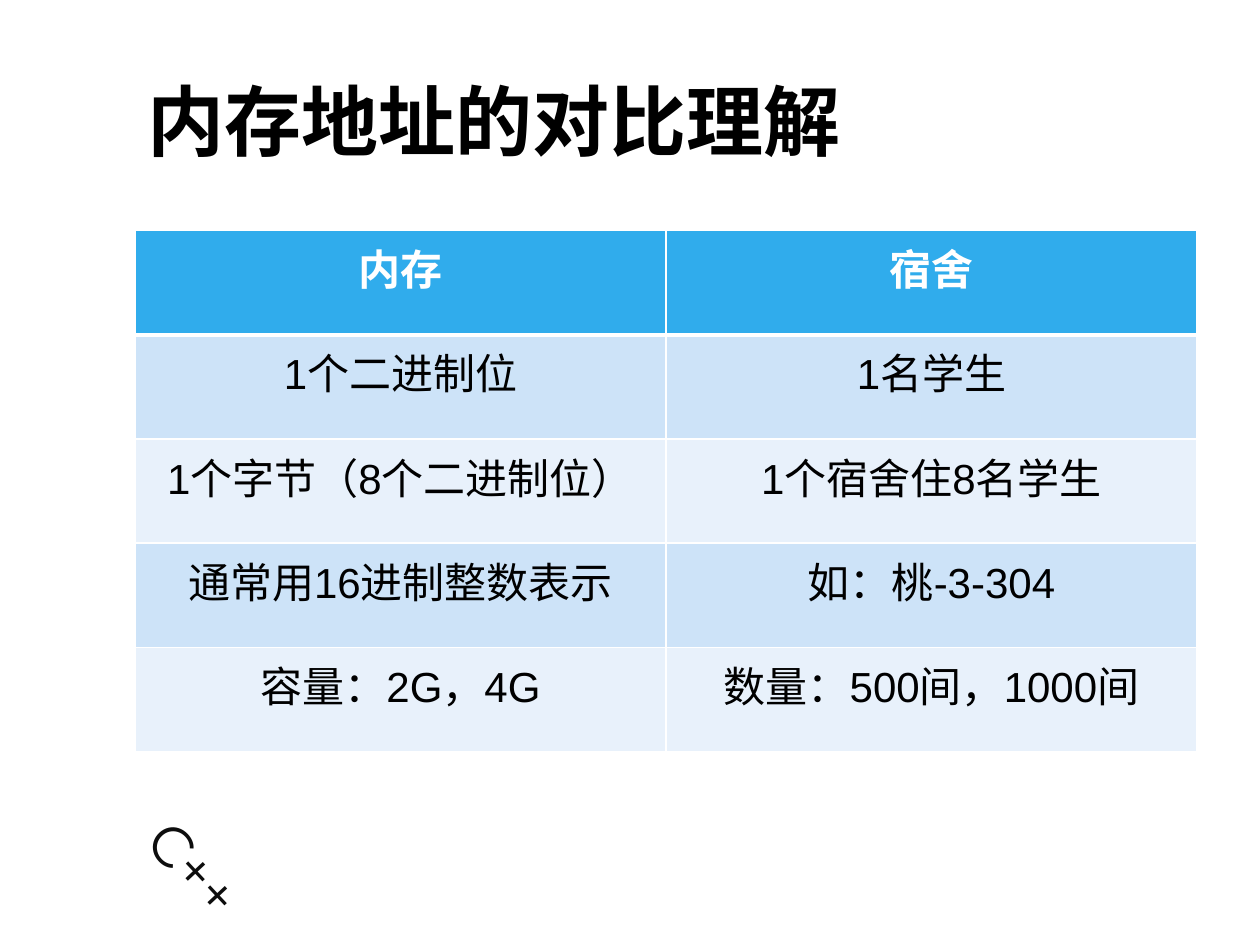
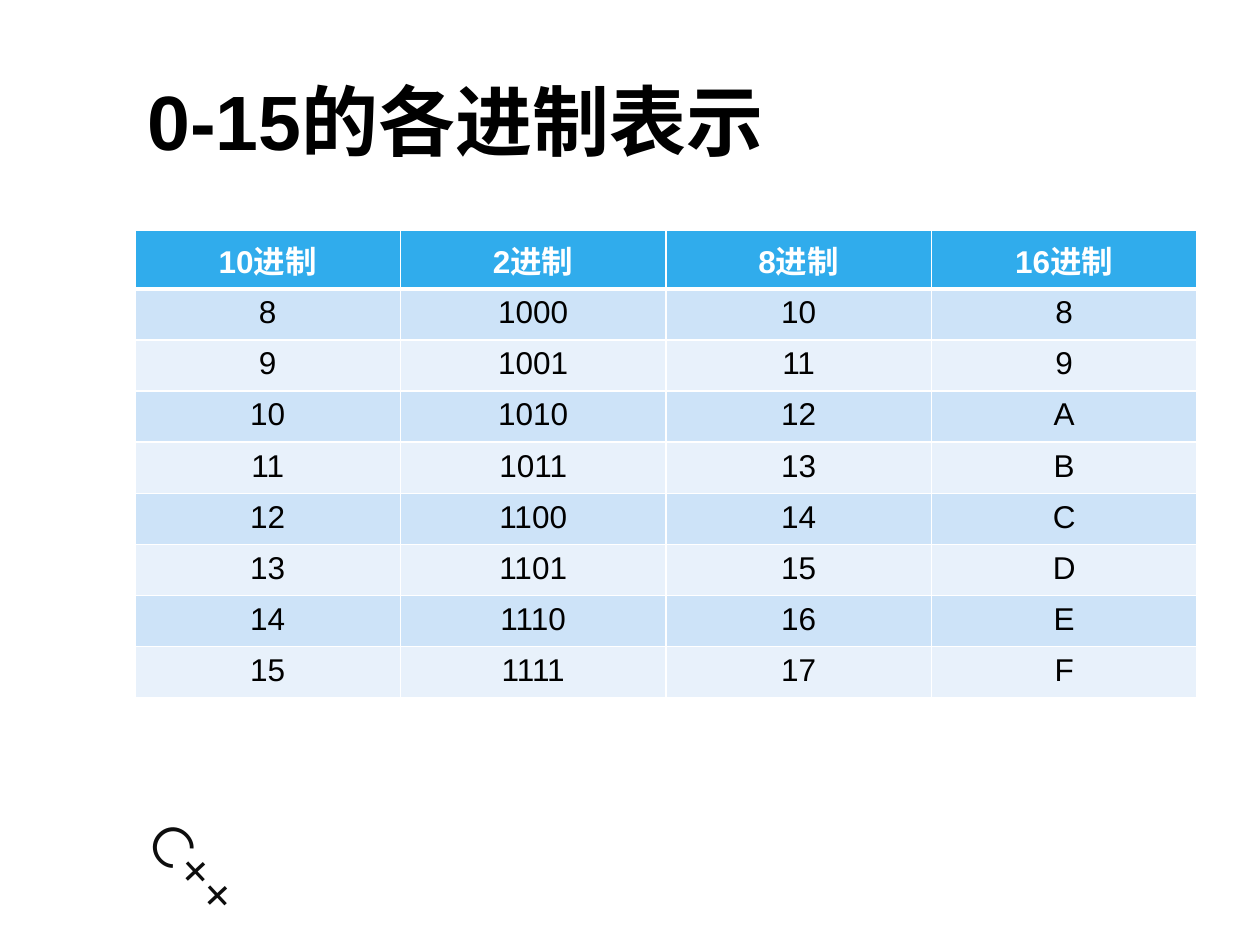
"""Build two slides comparing memory with dormitories and listing number bases."""
from dataclasses import dataclass

from lxml import etree
from pptx import Presentation
from pptx import util as u
from pptx.dml import color
from pptx.enum import lang, text
from pptx.oxml import ns

SLIDES = [
    {
        "title": "内存地址的对比理解",
        "header": ("内存", "宿舍"),
        "rows": [
            ("1个二进制位", "1名学生"),
            ("1个字节（8个二进制位）", "1个宿舍住8名学生"),
            ("通常用16进制整数表示", "如：桃-3-304"),
            ("容量：2G，4G", "数量：500间，1000间"),
        ],
        "size": 24,
        "row_height": u.Cm(2.1),
    },
    {
        "title": "0-15的各进制表示",
        "header": ("10进制", "2进制", "8进制", "16进制"),
        "rows": [(f"{n}", f"{n:b}", f"{n:o}", f"{n:X}") for n in range(8, 16)],
        "size": 18,
        "row_height": u.Cm(1.03),
    },
]
LANGUAGE_MARK = "C++"


@dataclass(frozen=True)
class Theme:
    """Colours, fonts and type sizes."""
    black: str = "000000"
    white: str = "FFFFFF"
    mark: str = "0D0D0D"
    header: str = "30ACEC"
    bands: tuple = ("CDE3F8", "E8F1FB")
    font: str = "Arial"
    mark_font: str = "Montserrat"
    title_size: int = 44
    mark_size: int = 32
    thin: int = 1
    thick: int = 3


THEME = Theme()
LEFT, WIDTH = u.Cm(2.72), u.Cm(21.41)
TITLE_BOX = (LEFT, u.Cm(0.74), WIDTH, u.Cm(3.35))
TABLE_TOP = u.Cm(4.65)
MARK_BOX = (u.Cm(2.39), u.Cm(17.22), u.Cm(4.09), u.Cm(1.63))


def place(item, box):
    """Move and size a shape."""
    item.left, item.top, item.width, item.height = box


def write(frame, words, *, size, colour=THEME.black, font=THEME.font,
          bold=False, align=text.PP_ALIGN.LEFT):
    """Write one formatted paragraph into a text frame."""
    para = frame.paragraphs[0]
    para.alignment = align
    span = para.add_run()
    span.text = words
    span.font.name, span.font.size, span.font.bold = font, u.Pt(size), bold
    span.font.color.rgb = color.RGBColor.from_string(colour)
    span.font.language_id = lang.MSO_LANGUAGE_ID.SIMPLIFIED_CHINESE


def draw_borders(cell, top, bottom):
    """Give a cell white borders of the stated top and bottom widths."""
    properties = cell._tc.get_or_add_tcPr()
    widths = {"lnL": THEME.thin, "lnR": THEME.thin, "lnT": top, "lnB": bottom}
    for position, (side, width) in enumerate(widths.items()):
        line = etree.Element(ns.qn(f"a:{side}"), w=str(u.Pt(width)))
        fill = etree.SubElement(line, ns.qn("a:solidFill"))
        etree.SubElement(fill, ns.qn("a:srgbClr"), val=THEME.white)
        properties.insert(position, line)


def add_banded_table(page, content):
    """Add a table with a coloured header and alternating rows."""
    rows = [content["header"], *content["rows"]]
    columns, height = len(rows[0]), content["row_height"]
    table = page.shapes.add_table(len(rows), columns, LEFT, TABLE_TOP,
                                  WIDTH, height * len(rows)).table
    for column in table.columns:
        column.width = WIDTH // columns
    for index, words in enumerate(rows):
        table.rows[index].height = height
        is_header = index == 0
        fill = THEME.header if is_header else THEME.bands[(index - 1) % 2]
        for cell, word in zip(table.rows[index].cells, words):
            cell.fill.solid()
            cell.fill.fore_color.rgb = color.RGBColor.from_string(fill)
            write(cell.text_frame, word, size=content["size"], bold=is_header,
                  colour=THEME.white if is_header else THEME.black,
                  align=text.PP_ALIGN.CENTER)
            draw_borders(cell, top=THEME.thick if index == 1 else THEME.thin,
                         bottom=THEME.thick if is_header else THEME.thin)


def add_slide(deck, layout, content):
    """Add a slide with a title and its table."""
    page = deck.slides.add_slide(layout)
    title = page.shapes.title
    place(title, TITLE_BOX)
    title.text_frame.auto_size = text.MSO_AUTO_SIZE.NONE
    title.text_frame.vertical_anchor = text.MSO_ANCHOR.MIDDLE
    write(title.text_frame, content["title"], size=THEME.title_size, bold=True)
    add_banded_table(page, content)
    return page


def share_language_mark(page, layout):
    """Put the slanted language mark on the layout that all slides share."""
    box = page.shapes.add_textbox(*MARK_BOX)
    box.rotation = 46.9
    box.text_frame.word_wrap = True
    box.text_frame.auto_size = text.MSO_AUTO_SIZE.SHAPE_TO_FIT_TEXT
    write(box.text_frame, LANGUAGE_MARK, size=THEME.mark_size,
          colour=THEME.mark, font=THEME.mark_font)
    layout.shapes.element.append(box.element)


def main():
    """Build and save the deck."""
    deck = Presentation()
    deck.slide_width, deck.slide_height = u.Cm(25.4), u.Cm(19.05)
    layout = deck.slide_layouts[5]
    pages = [add_slide(deck, layout, content) for content in SLIDES]
    share_language_mark(pages[0], layout)
    deck.save("out.pptx")


if __name__ == "__main__":
    main()
